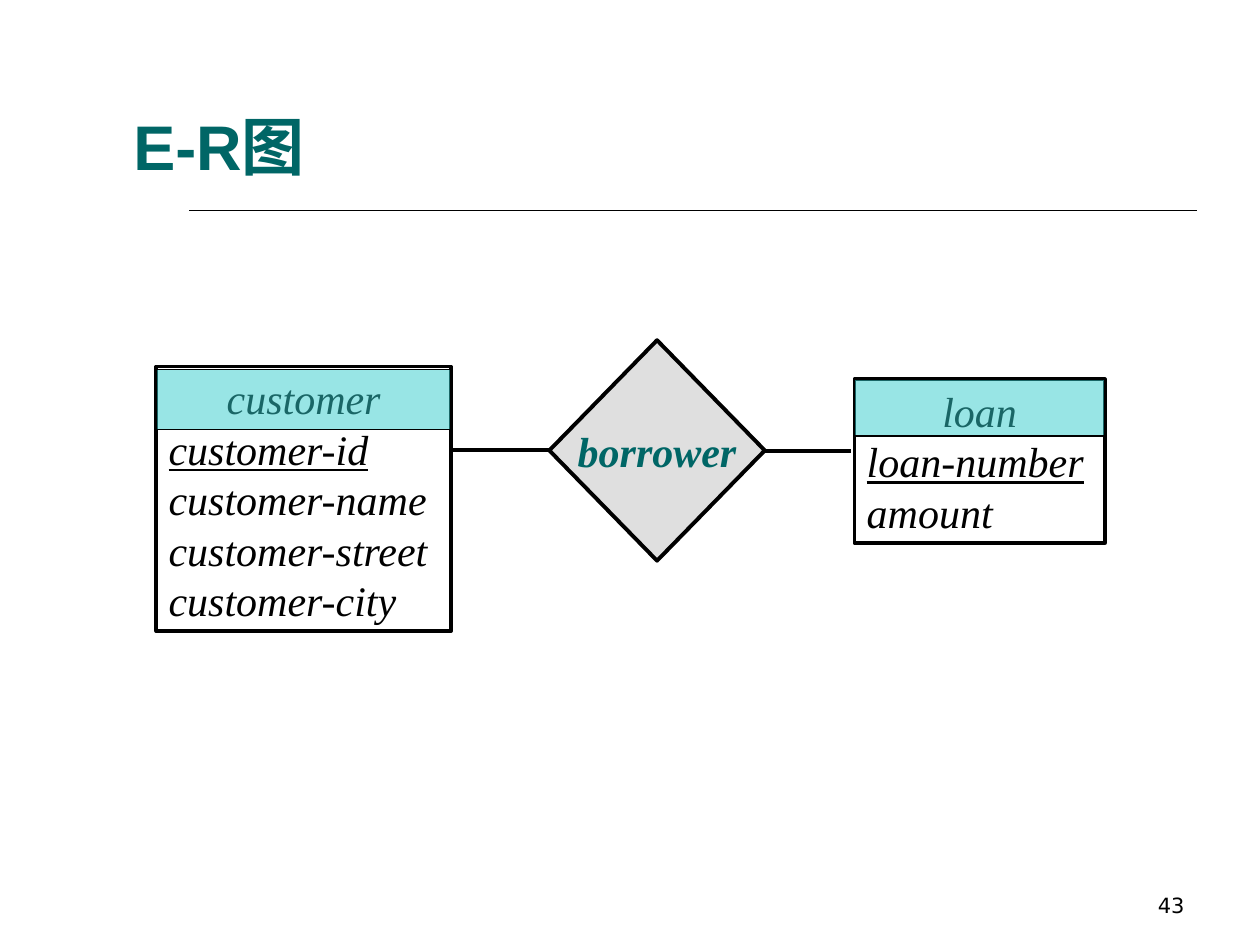
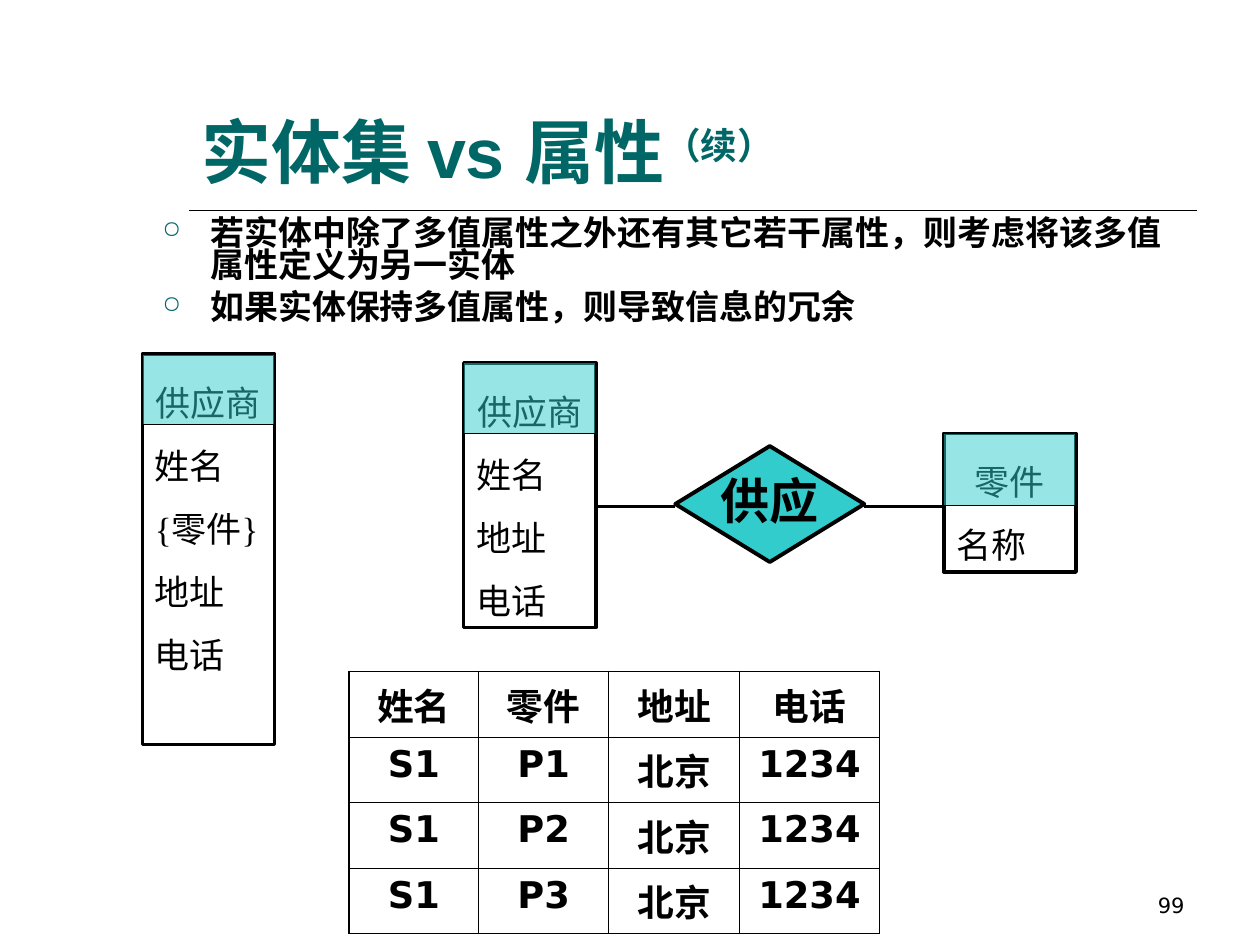
from dataclasses import dataclass

from lxml.etree import SubElement
from pptx import Presentation
from pptx.dml.color import RGBColor
from pptx.enum.shapes import MSO_CONNECTOR as Connector, MSO_SHAPE as Shape
from pptx.enum.text import MSO_ANCHOR as Anchor, MSO_AUTO_SIZE as AutoSize, PP_ALIGN as Align
from pptx.oxml.ns import qn
from pptx.util import Inches, Pt

BLACK = RGBColor(0x00, 0x00, 0x00)
TEAL = RGBColor(0x00, 0x66, 0x66)
AQUA = RGBColor(0x33, 0xCC, 0xCC)
GREY = RGBColor(0xDF, 0xDF, 0xDF)
SERIF, SANS, HEADING = "Times New Roman", "DejaVu Sans", "Arial"


@dataclass
class Box:
    """A rectangle in inches."""
    left: float
    top: float
    width: float
    height: float

    def emu(self) -> list:
        """Return the sides as lengths."""
        return [Inches(side) for side in (self.left, self.top, self.width, self.height)]


@dataclass
class TextStyle:
    """How a paragraph is set."""
    font: str
    size: float | None
    color: RGBColor = BLACK
    bold: bool = False
    italic: bool = False
    align: Align = Align.LEFT
    spacing: float | None = None


@dataclass
class TitlePart:
    """A stretch of a title with its own size."""
    text: str
    size: float
    raised: bool = False


@dataclass
class Entity:
    """An entity set with its header band and attributes."""
    box: Box
    header: Box
    name: str
    attributes: list[str]
    style: TextStyle
    key: str = ""


@dataclass
class Relationship:
    """A relationship diamond."""
    box: Box
    name: str
    fill: RGBColor
    style: TextStyle


@dataclass
class Link:
    """A horizontal line between two diagram parts."""
    start: float
    end: float
    y: float
    weight: float = 2.25


ATTRIBUTE_EN = TextStyle(SERIF, 24, italic=True)
ATTRIBUTE_ZH = TextStyle(SERIF, 20, spacing=1.5)
BULLET = TextStyle(SANS, 19.4, bold=True, spacing=0.8)
CELL = TextStyle(SANS, 21, bold=True, align=Align.CENTER)
PAGE = TextStyle(SANS, 12, align=Align.RIGHT)
TITLE = TextStyle(HEADING, None, TEAL, bold=True)
RULE = Link(1.5, 9.5, 1.67, 1)
PAGE_BOX = Box(7.17, 6.83, 2.33, 0.5)

BULLETS = [
    "若实体中除了多值属性之外还有其它若干属性，则考虑将该多值属性定义为另一实体",
    "如果实体保持多值属性，则导致信息的冗余",
]
SUPPLY_COLUMNS = [1.03, 1.03, 1.04, 1.11]
SUPPLY_ROWS = [["姓名", "零件", "地址", "电话"]] + [
    ["S1", part, "北京", "1234"] for part in ("P1", "P2", "P3")
]

LOAN_ENTITIES = [
    Entity(Box(1.24, 2.91, 2.34, 2.1), Box(1.24, 2.93, 2.34, 0.48), "customer",
           ["customer-id", "customer-name", "customer-street", "customer-city"],
           ATTRIBUTE_EN, "customer-id"),
    Entity(Box(6.78, 3.01, 1.99, 1.3), Box(6.78, 3.01, 1.99, 0.45), "loan",
           ["loan-number", "amount"], ATTRIBUTE_EN, "loan-number"),
]
BORROWER = Relationship(Box(4.36, 2.7, 1.71, 1.75), "borrower", GREY,
                        TextStyle(SERIF, 24, TEAL, True, True, Align.CENTER))
SUPPLY_ENTITIES = [
    Entity(Box(1.13, 2.81, 1.05, 3.1), Box(1.13, 2.81, 1.05, 0.56), "供应商",
           ["姓名", "{零件}", "地址", "电话"], ATTRIBUTE_ZH),
    Entity(Box(3.68, 2.88, 1.05, 2.1), Box(3.68, 2.88, 1.05, 0.56), "供应商",
           ["姓名", "地址", "电话"], ATTRIBUTE_ZH),
    Entity(Box(7.49, 3.44, 1.05, 1.1), Box(7.49, 3.44, 1.05, 0.57), "零件",
           ["名称"], ATTRIBUTE_ZH),
]
SUPPLY = Relationship(Box(5.36, 3.54, 1.5, 0.92), "供应", AQUA,
                      TextStyle(SERIF, 28, bold=True, align=Align.CENTER, spacing=0.9))


def style_paragraph(paragraph, style: TextStyle) -> None:
    """Apply a text style to a paragraph."""
    paragraph.alignment = style.align
    if style.spacing:
        paragraph.line_spacing = style.spacing
    font = paragraph.font
    font.name = style.font
    if style.size:
        font.size = Pt(style.size)
    font.bold, font.italic = style.bold, style.italic
    font.color.rgb = style.color


def write_lines(frame, lines: list[str], style: TextStyle) -> None:
    """Write one styled paragraph per line."""
    for index, line in enumerate(lines):
        paragraph = frame.paragraphs[0] if index == 0 else frame.add_paragraph()
        paragraph.text = line
        style_paragraph(paragraph, style)


def add_text_frame(slide, box: Box, anchor: Anchor):
    """Add a wrapping text box and return its frame."""
    frame = slide.shapes.add_textbox(*box.emu()).text_frame
    frame.word_wrap = True
    frame.vertical_anchor = anchor
    return frame


def add_outlined(slide, kind: Shape, box: Box, weight: float, fill: RGBColor | None = None):
    """Add a black-lined preset shape."""
    shape = slide.shapes.add_shape(kind, *box.emu())
    shape.shadow.inherit = False
    if fill is None:
        shape.fill.background()
    else:
        shape.fill.solid()
        shape.fill.fore_color.rgb = fill
    shape.line.color.rgb = BLACK
    shape.line.width = Pt(weight)
    return shape


def add_link(slide, link: Link) -> None:
    """Draw a horizontal line."""
    y = Inches(link.y)
    line = slide.shapes.add_connector(Connector.STRAIGHT, Inches(link.start), y,
                                      Inches(link.end), y)
    line.line.color.rgb = BLACK
    line.line.width = Pt(link.weight)
    SubElement(line._element.spPr, qn("a:effectLst"))


def add_entity(slide, entity: Entity) -> None:
    """Draw an entity set under its translucent header band."""
    frame = add_outlined(slide, Shape.RECTANGLE, entity.box, 2).text_frame
    frame.word_wrap = True
    frame.vertical_anchor = Anchor.TOP
    frame.auto_size = AutoSize.SHAPE_TO_FIT_TEXT
    write_lines(frame, [entity.name, *entity.attributes], entity.style)
    frame.paragraphs[0].alignment = Align.CENTER
    for paragraph in frame.paragraphs:
        if paragraph.text == entity.key:
            paragraph.font.underline = True
    band = add_outlined(slide, Shape.RECTANGLE, entity.header, 0.75, AQUA)
    tint = band._element.spPr.find(qn("a:solidFill"))[0]
    SubElement(tint, qn("a:alpha"), val="50000")


def add_relationship(slide, relationship: Relationship) -> None:
    """Draw a relationship diamond with its name."""
    frame = add_outlined(slide, Shape.DIAMOND, relationship.box, 2.25,
                         relationship.fill).text_frame
    frame.word_wrap = False
    frame.vertical_anchor = Anchor.MIDDLE
    write_lines(frame, [relationship.name], relationship.style)


def add_bullets(slide, box: Box, lines: list[str]) -> None:
    """Write the bulleted statements."""
    frame = add_text_frame(slide, box, Anchor.TOP)
    for index, line in enumerate(lines):
        paragraph = frame.paragraphs[0] if index == 0 else frame.add_paragraph()
        paragraph.text = line
        properties = paragraph._p.get_or_add_pPr()
        indent = Inches(0.38)
        properties.set("marL", str(indent))
        properties.set("indent", str(-indent))
        color = SubElement(properties, qn("a:buClr"))
        SubElement(color, qn("a:srgbClr"), val=str(TEAL))
        SubElement(properties, qn("a:buSzPct"), val="70000")
        SubElement(properties, qn("a:buChar"), char="○")
        style_paragraph(paragraph, BULLET)
        if index:
            paragraph.space_before = Pt(5.2)


def set_borders(cell, outer_sides: dict[str, bool]) -> None:
    """Line a cell, heavier on the sides at the table edge."""
    properties = cell._tc.get_or_add_tcPr()
    for side, outer in outer_sides.items():
        border = SubElement(properties, qn(f"a:ln{side}"), w=str(Pt(1.08 if outer else 0.45)))
        fill = SubElement(border, qn("a:solidFill"))
        SubElement(fill, qn("a:srgbClr"), val=str(BLACK))


def add_grid(slide, box: Box, widths: list[float], rows: list[list[str]]) -> None:
    """Draw a plain ruled table."""
    last_row, last_column = len(rows) - 1, len(widths) - 1
    table = slide.shapes.add_table(len(rows), len(widths), *box.emu()).table
    table.first_row = table.horz_banding = False
    for column, width in zip(table.columns, widths):
        column.width = Inches(width)
    for r, values in enumerate(rows):
        for c, value in enumerate(values):
            cell = table.cell(r, c)
            set_borders(cell, {"L": c == 0, "R": c == last_column,
                               "T": r == 0, "B": r == last_row})
            cell.fill.background()
            write_lines(cell.text_frame, [value], CELL)


def add_framed_slide(deck, title_box: Box, parts: list[TitlePart], page: str):
    """Add a slide with the shared rule, page number and title."""
    slide = deck.slides.add_slide(deck.slide_layouts[6])
    add_link(slide, RULE)
    write_lines(add_text_frame(slide, PAGE_BOX, Anchor.BOTTOM), [page], PAGE)
    title = add_text_frame(slide, title_box, Anchor.BOTTOM).paragraphs[0]
    style_paragraph(title, TITLE)
    for part in parts:
        run = title.add_run()
        run.text = part.text
        run.font.size = Pt(part.size)
        if part.raised:
            run._r.get_or_add_rPr().set("baseline", "30000")
    return slide


def add_diagram(slide, entities: list[Entity], relationship: Relationship,
                links: list[Link]) -> None:
    """Draw entity sets joined through a relationship."""
    for entity in entities:
        add_entity(slide, entity)
    for link in links:
        add_link(slide, link)
    add_relationship(slide, relationship)


def main() -> None:
    """Build and save the two slides."""
    deck = Presentation()
    deck.slide_width, deck.slide_height = Inches(10), Inches(7.5)

    loans = add_framed_slide(deck, Box(0.96, 0.83, 9.04, 0.67), [TitlePart("E-R图", 36)], "43")
    add_diagram(loans, LOAN_ENTITIES, BORROWER,
                [Link(3.59, 4.48, 3.57), Link(6.07, 6.75, 3.58)])

    supplies = add_framed_slide(
        deck, Box(1.5, 0.33, 8, 1.25),
        [TitlePart("实体集 vs 属性", 40), TitlePart("（续）", 36, raised=True)], "99")
    add_bullets(supplies, Box(1.19, 1.69, 8.4, 0.97), BULLETS)
    add_grid(supplies, Box(2.77, 5.33, 4.21, 2.08), SUPPLY_COLUMNS, SUPPLY_ROWS)
    add_diagram(supplies, SUPPLY_ENTITIES, SUPPLY,
                [Link(4.73, 5.36, 4.02), Link(6.86, 7.49, 4.02)])

    deck.save("out.pptx")


if __name__ == "__main__":
    main()
